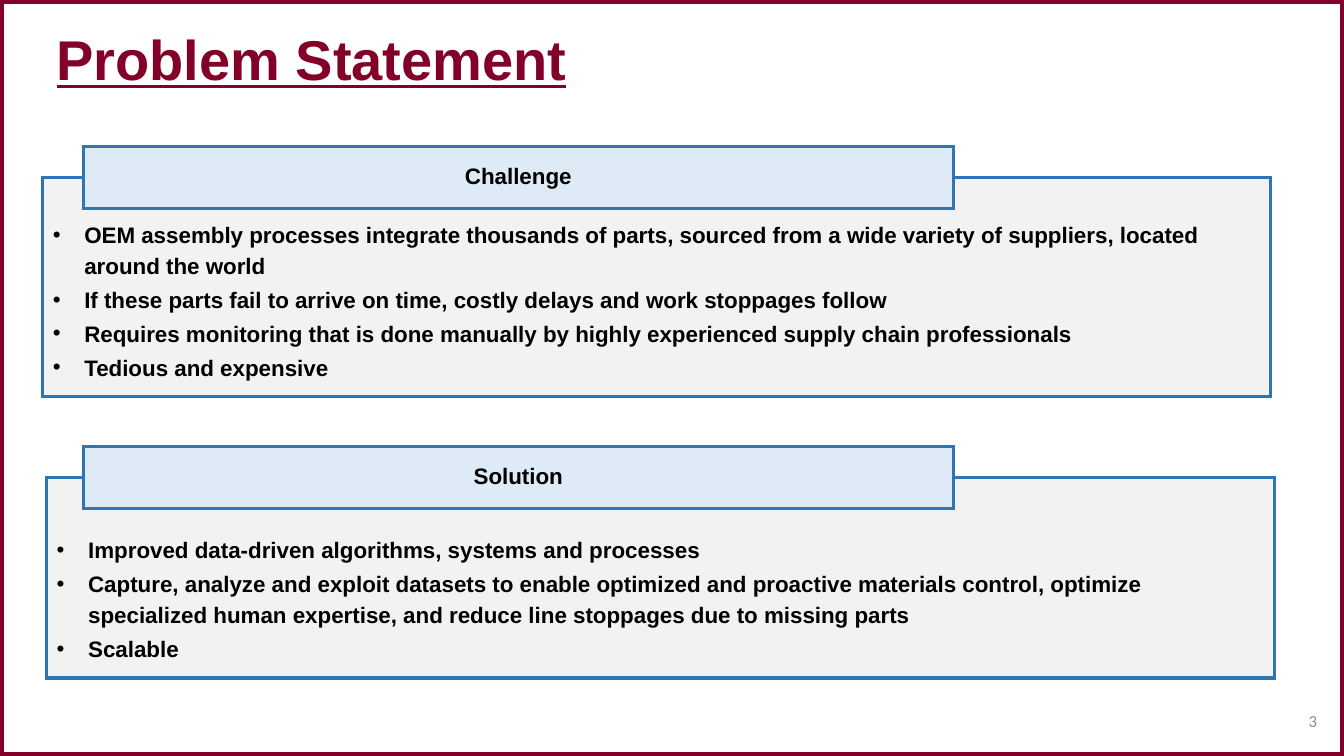
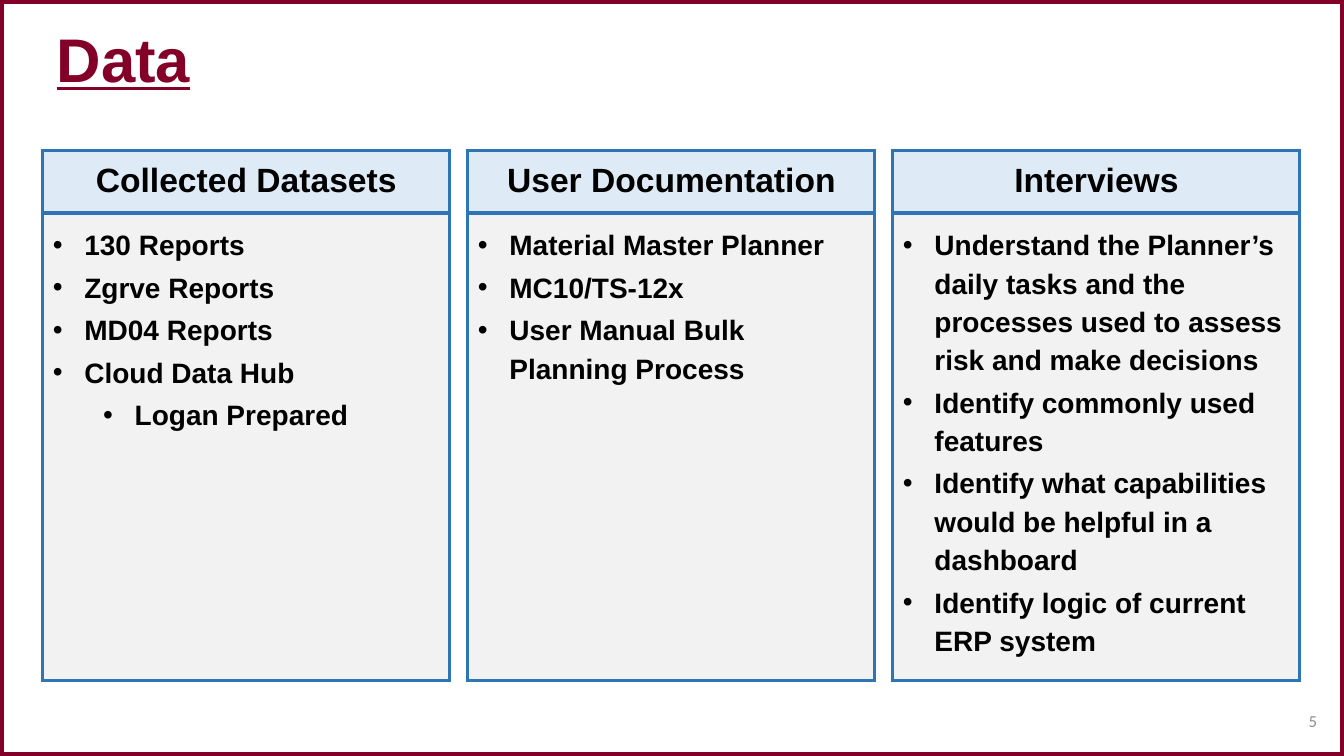
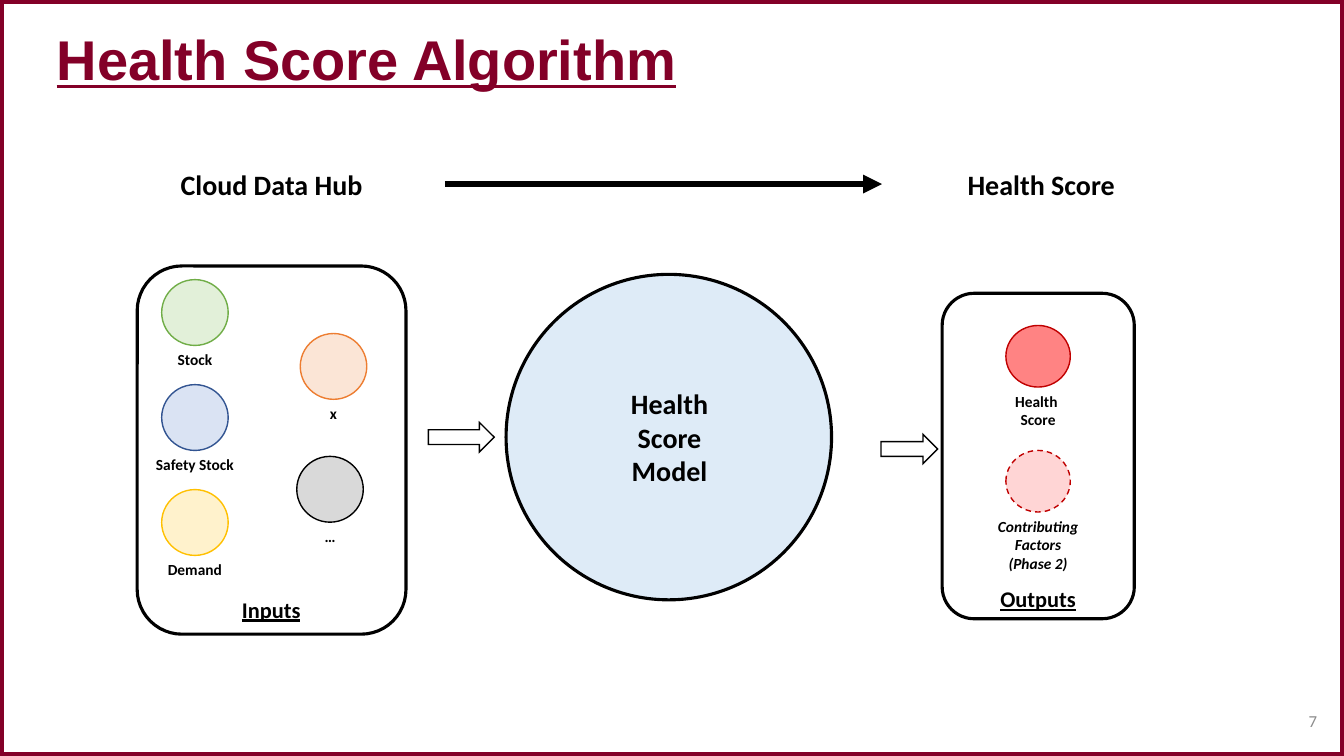
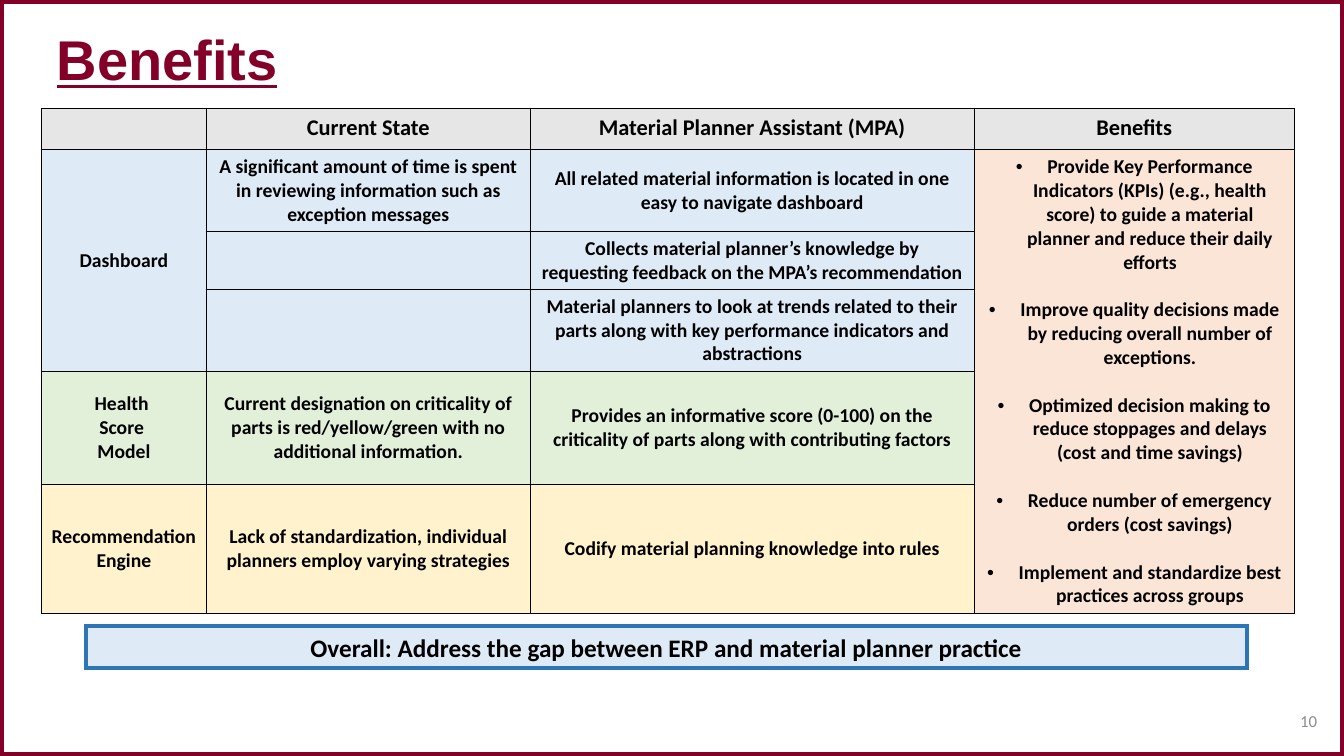
"""Build four slides on a material planning project."""
from dataclasses import dataclass, replace
from typing import Any, NamedTuple

from lxml import etree
from pptx import Presentation
from pptx.dml.color import RGBColor
from pptx.enum.dml import MSO_LINE
from pptx.enum.shapes import MSO_CONNECTOR, MSO_SHAPE
from pptx.enum.text import MSO_ANCHOR, MSO_AUTO_SIZE, PP_ALIGN
from pptx.oxml.ns import qn
from pptx.util import Pt

LEFT, CENTER, RIGHT = PP_ALIGN.LEFT, PP_ALIGN.CENTER, PP_ALIGN.RIGHT
TOP, MIDDLE, BOTTOM = MSO_ANCHOR.TOP, MSO_ANCHOR.MIDDLE, MSO_ANCHOR.BOTTOM
NO_FIT = MSO_AUTO_SIZE.NONE
RECTANGLE, ROUNDED = MSO_SHAPE.RECTANGLE, MSO_SHAPE.ROUNDED_RECTANGLE
OVAL, CONNECTOR_NODE = MSO_SHAPE.OVAL, MSO_SHAPE.FLOWCHART_CONNECTOR
BLOCK_ARROW, STRAIGHT = MSO_SHAPE.RIGHT_ARROW, MSO_CONNECTOR.STRAIGHT
DASH = MSO_LINE.DASH

MAROON, BLACK, GRAY = "830028", "000000", "8C8C8C"
BLUE, PALE_BLUE, PALE_GRAY = "2E75B6", "DEEBF7", "F2F2F2"
PALE_GREEN, PALE_YELLOW, PALE_ORANGE = "E2F0D9", "FFF2CC", "FBE5D6"
HEADER_GRAY, RED, PALE_RED, DARK_RED = "E7E6E6", "FF0909", "FFD5D5", "C00000"
PAGE_WIDTH, PAGE_HEIGHT = 960, 540
INDENT = 22.5
TITLE_ONLY, COMPARISON = 5, 4


class Area(NamedTuple):
    """Position and size in points."""
    left: float
    top: float
    width: float
    height: float


@dataclass(frozen=True)
class Style:
    """Look of a text."""
    size: float
    font: str = "Calibri"
    color: str = BLACK
    bold: bool = True
    italic: bool = False
    underline: bool = False
    align: Any = CENTER
    anchor: Any = TOP
    spacing: float = 1.0
    before: float = 0
    after: float = 0
    bullet: bool = False
    insets: tuple[float, float, float, float] = (7.2, 3.6, 7.2, 3.6)


@dataclass(frozen=True)
class Paint:
    """Fill and outline of a shape."""
    fill: str = ""
    line: str = BLACK
    weight: float = 1
    opacity: int = 100
    dash: Any = None


@dataclass(frozen=True)
class Panel:
    """Headed list with its two areas."""
    heading: str
    items: str
    heading_area: Area
    list_area: Area


@dataclass(frozen=True)
class Node:
    """Captioned circle of the diagram."""
    caption: str
    area: Area
    paint: Paint
    italic: bool = False


@dataclass(frozen=True)
class Band:
    """Table row with its height and fill."""
    height: float
    fill: str
    texts: tuple[str, ...]


TITLE = Style(40, "Arial", MAROON, underline=True, align=LEFT, anchor=MIDDLE, spacing=0.9)
HEADING = Style(16, "Arial", anchor=MIDDLE, spacing=0.9, insets=(10, 6, 10, 6))
NUMBER = Style(12, color=GRAY, bold=False, align=RIGHT, anchor=MIDDLE)
LABEL, CAPTION = Style(20), Style(11)
GROUP_NAME = Style(16, underline=True)
CELL = Style(14, anchor=MIDDLE)
CELL_HEADER = Style(16)
CELL_LIST = replace(CELL, bullet=True, before=17)
SUMMARY = Style(18, anchor=MIDDLE)
PANEL_PAINT = Paint(PALE_GRAY, BLUE, 2.25)
HEADING_PAINT = Paint(PALE_BLUE, BLUE, 2.25)
OUTLINE = Paint(weight=2.25)


def list_style(size: float, anchor: Any) -> Style:
    """Return the style of a bulleted panel."""
    return Style(size, "Arial", align=LEFT, anchor=anchor, spacing=1.14,
                 after=0.15 * size, bullet=True, insets=(7.2, 7.2, 10, 11.5))


def rgb(color: str) -> RGBColor:
    """Turn a hex string into a colour."""
    return RGBColor.from_string(color)


def set_values(target: Any, values: dict[str, Any]) -> None:
    """Set attributes from a dict."""
    for name, value in values.items():
        setattr(target, name, value)


def place(shape: Any, area: Area) -> None:
    """Move and size a shape."""
    set_values(shape, {name: Pt(value) for name, value in area._asdict().items()})


def paint_shape(shape: Any, paint: Paint) -> None:
    """Apply fill and sharp-cornered outline without a shadow."""
    shape.shadow.inherit = False
    if paint.fill:
        shape.fill.solid()
        shape.fill.fore_color.rgb = rgb(paint.fill)
    else:
        shape.fill.background()
    properties = shape.element.spPr
    if paint.opacity < 100:
        color = properties.find(qn("a:solidFill")).find(qn("a:srgbClr"))
        etree.SubElement(color, qn("a:alpha"), val=str(paint.opacity * 1000))
    shape.line.color.rgb = rgb(paint.line)
    set_values(shape.line, {"width": Pt(paint.weight), "dash_style": paint.dash})
    etree.SubElement(properties.find(qn("a:ln")), qn("a:miter"), lim="800000")


def add_bullet(para: Any, level: int) -> None:
    """Give a paragraph a hanging bullet."""
    properties = para._p.get_or_add_pPr()
    properties.set("marL", str(Pt(INDENT + 36 * level)))
    properties.set("indent", str(Pt(-INDENT)))
    etree.SubElement(properties, qn("a:buFont"), typeface="Arial")
    etree.SubElement(properties, qn("a:buChar"), char="•")


def write(frame: Any, text: str, style: Style) -> None:
    """Write one paragraph per line, a leading tab deepening the level."""
    for index, line in enumerate(text.split("\n")):
        para = frame.add_paragraph() if index else frame.paragraphs[0]
        level = line.count("\t")
        set_values(para, {
            "alignment": style.align, "level": level, "line_spacing": style.spacing,
            "space_before": Pt(style.before if index else 0), "space_after": Pt(style.after),
        })
        if style.bullet:
            add_bullet(para, level)
        span = para.add_run()
        span.text = line.strip("\t")
        set_values(span.font, {
            "name": style.font, "size": Pt(style.size), "bold": style.bold,
            "italic": style.italic, "underline": style.underline,
        })
        span.font.color.rgb = rgb(style.color)


def fill_frame(shape: Any, text: str, style: Style) -> None:
    """Set up the text frame of a shape and write in it."""
    sides = ("margin_left", "margin_top", "margin_right", "margin_bottom")
    set_values(shape.text_frame, {
        "word_wrap": True, "auto_size": NO_FIT, "vertical_anchor": style.anchor,
        **{side: Pt(inset) for side, inset in zip(sides, style.insets)},
    })
    write(shape.text_frame, text, style)


def add_text(page: Any, area: Area, text: str, style: Style) -> None:
    """Add a text box."""
    fill_frame(page.shapes.add_textbox(*map(Pt, area)), text, style)


def add_box(page: Any, kind: Any, area: Area, paint: Paint) -> Any:
    """Add a painted preset shape."""
    box = page.shapes.add_shape(kind, *map(Pt, area))
    paint_shape(box, paint)
    return box


def add_page(deck: Any, layout: int, title: str, number: int, size: float = 40) -> Any:
    """Add a slide with its title and number."""
    page = deck.slides.add_slide(deck.slide_layouts[layout])
    place(page.shapes.title, Area(33.25, 11, 895, 67))
    fill_frame(page.shapes.title, title, replace(TITLE, size=size))
    add_text(page, Area(655, 500.5, 293, 28.5), str(number), NUMBER)
    return page


def add_border(deck: Any, page: Any) -> None:
    """Put the page border on the slide master."""
    border = add_box(page, RECTANGLE, Area(0, 0, PAGE_WIDTH, PAGE_HEIGHT),
                     Paint(line=MAROON, weight=6))
    border.element.nvSpPr.cNvPr.set("id", "20")
    deck.slide_master.shapes.element.append(border.element)


def add_panels(page: Any, panels: list[Panel], heading: Style, items: Style) -> None:
    """Fill body placeholders with headed lists and drop unused ones."""
    bodies = [body for body in page.placeholders if body.placeholder_format.idx]
    for body, panel in zip(bodies, panels):
        place(body, panel.list_area)
        paint_shape(body, PANEL_PAINT)
        fill_frame(body, panel.items, items)
        box = add_box(page, RECTANGLE, panel.heading_area, HEADING_PAINT)
        fill_frame(box, panel.heading, heading)
    for body in bodies[len(panels):]:
        body.element.getparent().remove(body.element)


def add_node(page: Any, node: Node) -> None:
    """Add a circle with its caption below."""
    add_box(page, OVAL, node.area, node.paint)
    width, lines = 79, node.caption.count("\n") + 1
    left = node.area.left + (node.area.width - width) / 2
    caption_area = Area(left, node.area.top + node.area.height, width, 7.2 + 13.5 * lines)
    add_text(page, caption_area, node.caption, replace(CAPTION, italic=node.italic))


def add_flow_arrow(page: Any, left: float, right: float, top: float) -> None:
    """Add a heavy horizontal arrow."""
    arrow = page.shapes.add_connector(STRAIGHT, Pt(left), Pt(top), Pt(right), Pt(top))
    arrow.line.color.rgb = rgb(BLACK)
    arrow.line.width = Pt(4.5)
    properties = arrow.element.spPr
    etree.SubElement(properties.find(qn("a:ln")), qn("a:tailEnd"), type="triangle")
    etree.SubElement(properties, qn("a:effectLst"))


def format_cell(cell: Any, fill: str) -> None:
    """Give a cell black borders and a fill."""
    properties = cell._tc.get_or_add_tcPr()
    for side in ("lnL", "lnR", "lnT", "lnB"):
        line = etree.SubElement(properties, qn(f"a:{side}"), w=str(Pt(1)))
        solid = etree.SubElement(line, qn("a:solidFill"))
        etree.SubElement(solid, qn("a:srgbClr"), val=BLACK)
    cell.fill.solid()
    cell.fill.fore_color.rgb = rgb(fill)


def build_problem(deck: Any) -> None:
    """Build the problem statement."""
    page = add_page(deck, COMPARISON, "Problem Statement", 3)
    add_border(deck, page)
    challenge = (
        "OEM assembly processes integrate thousands of parts, sourced from a wide variety of "
        "suppliers, located around the world\n"
        "If these parts fail to arrive on time, costly delays and work stoppages follow\n"
        "Requires monitoring that is done manually by highly experienced supply chain "
        "professionals\n"
        "Tedious and expensive")
    solution = (
        "Improved data-driven algorithms, systems and processes\n"
        "Capture, analyze and exploit datasets to enable optimized and proactive materials "
        "control, optimize specialized human expertise, and reduce line stoppages due to "
        "missing parts\n"
        "Scalable")
    panels = [
        Panel("Challenge", challenge, Area(59.5, 104.5, 621.5, 44.5),
              Area(30.5, 127, 877, 156.5)),
        Panel("Solution", solution, Area(59.5, 319, 621.5, 44.5),
              Area(33.25, 341.25, 877, 143)),
    ]
    add_panels(page, panels, HEADING, list_style(16, BOTTOM))


def build_data(deck: Any) -> None:
    """Build the three data columns."""
    page = add_page(deck, COMPARISON, "Data", 5, 44)
    columns = {
        "Collected Datasets":
            "130 Reports\nZgrve Reports\nMD04 Reports\nCloud Data Hub\n\tLogan Prepared",
        "User Documentation":
            "Material Master Planner\nMC10/TS-12x\nUser Manual Bulk Planning Process",
        "Interviews":
            "Understand the Planner’s daily tasks and the processes used to assess risk and "
            "make decisions\nIdentify commonly used features\n"
            "Identify what capabilities would be helpful in a dashboard\n"
            "Identify logic of current ERP system",
    }
    panels = []
    for index, (heading, items) in enumerate(columns.items()):
        left = 30.5 + 303.65 * index
        panels.append(Panel(heading, items, Area(left, 107.5, 290.75, 44.5),
                            Area(left, 152.15, 290.75, 334)))
    add_panels(page, panels, replace(HEADING, size=24), list_style(20, TOP))


def build_algorithm(deck: Any) -> None:
    """Build the health score diagram."""
    page = add_page(deck, TITLE_ONLY, "Health Score Algorithm", 7)
    shapes = [
        (CONNECTOR_NODE, Area(361.5, 196, 232.5, 232.5), Paint(PALE_BLUE, weight=2.25)),
        (ROUNDED, Area(98, 190, 192, 263), OUTLINE),
        (ROUNDED, Area(673, 209.5, 137.25, 232.5), OUTLINE),
        (BLOCK_ARROW, Area(306, 301.75, 47, 21), Paint()),
        (BLOCK_ARROW, Area(629.25, 310.25, 40.5, 21), Paint()),
    ]
    for kind, area, paint in shapes:
        add_box(page, kind, area, paint)
    add_flow_arrow(page, 317.75, 630, 131.5)
    texts = [
        ("Cloud Data Hub", Area(120.5, 116, 147, 31.5), LABEL),
        ("Health Score", Area(680.5, 116, 126.5, 31.5), LABEL),
        ("Health Score Model", Area(424, 272.5, 108.5, 80), LABEL),
        ("Inputs", Area(146.25, 422, 95, 27), GROUP_NAME),
        ("Outputs", Area(694, 414.5, 95, 27), GROUP_NAME),
    ]
    for text, area, style in texts:
        add_text(page, area, text, style)
    inputs = [
        ("Stock", 115.5, 199.75, PALE_GREEN, "70AD47"),
        ("Safety Stock", 115.5, 274.75, "DAE3F3", "325491"),
        ("Demand", 115.5, 349.75, PALE_YELLOW, "FFC000"),
        ("x", 214.5, 238.25, PALE_ORANGE, "ED7D31"),
        ("…", 212, 326, "D9D9D9", BLACK),
    ]
    nodes = [Node(caption, Area(left, top, 47.5, 47), Paint(fill, line))
             for caption, left, top, fill, line in inputs]
    nodes += [
        Node("Health \nScore", Area(718.5, 232.5, 46, 44), Paint(RED, DARK_RED, opacity=50)),
        Node("Contributing\nFactors\n(Phase 2)", Area(718.5, 321.75, 46, 44),
             Paint(PALE_RED, DARK_RED, dash=DASH), italic=True),
    ]
    for node in nodes:
        add_node(page, node)


def build_benefits(deck: Any) -> None:
    """Build the benefits table."""
    page = add_page(deck, TITLE_ONLY, "Benefits", 10)
    benefits = (
        "Provide Key Performance Indicators (KPIs) (e.g., health score) to guide a material "
        "planner and reduce their daily efforts\n"
        "Improve quality decisions made by reducing overall number of exceptions.\n"
        "Optimized decision making to reduce stoppages and delays (cost and time savings)\n"
        "Reduce number of emergency orders (cost savings)\n"
        "Implement and standardize best practices across groups")
    bands = [
        Band(29.25, HEADER_GRAY,
             ("", "Current State", "Material Planner Assistant (MPA)", "Benefits")),
        Band(58.5, PALE_BLUE, (
            "Dashboard",
            "A significant amount of time is spent in reviewing information such as "
            "exception messages",
            "All related material information is located in one easy to navigate dashboard",
            benefits)),
        Band(41.25, PALE_BLUE, (
            "", "", "Collects material planner’s knowledge by requesting feedback on the "
            "MPA’s recommendation", "")),
        Band(58, PALE_BLUE, (
            "", "", "Material planners to look at trends related to their parts along with "
            "key performance indicators and abstractions", "")),
        Band(81.25, PALE_GREEN, (
            "Health \nScore \nModel",
            "Current designation on criticality of parts is red/yellow/green with no "
            "additional information.",
            "Provides an informative score (0-100) on the criticality of parts along with "
            "contributing factors", "")),
        Band(91.75, PALE_YELLOW, (
            "Recommendation\nEngine",
            "Lack of standardization, individual planners employ varying strategies",
            "Codify material planning knowledge into rules", "")),
    ]
    widths = (118, 231.25, 317.25, 228.5)
    area = Area(29.5, 77.75, sum(widths), sum(band.height for band in bands))
    table = page.shapes.add_table(len(bands), len(widths), *map(Pt, area)).table
    set_values(table, {"first_row": False, "horz_banding": False})
    for column, width in zip(table.columns, widths):
        column.width = Pt(width)
    last = len(widths) - 1
    for row, band in enumerate(bands):
        table.rows[row].height = Pt(band.height)
        for column, text in enumerate(band.texts):
            cell = table.cell(row, column)
            in_benefits = row > 0 and column == last
            format_cell(cell, PALE_ORANGE if in_benefits else band.fill)
            cell.vertical_anchor = MIDDLE if row else TOP
            if text:
                style = CELL_LIST if in_benefits else CELL
                write(cell.text_frame, text, style if row else CELL_HEADER)
    table.cell(1, 0).merge(table.cell(3, 0))
    table.cell(1, last).merge(table.cell(len(bands) - 1, last))
    summary = add_box(page, RECTANGLE, Area(61.5, 447, 829, 30.25), Paint(PALE_BLUE, BLUE, 3))
    fill_frame(summary, "Overall: Address the gap between ERP and material planner practice",
               SUMMARY)


def main() -> None:
    """Build and save the deck."""
    deck = Presentation()
    set_values(deck, {"slide_width": Pt(PAGE_WIDTH), "slide_height": Pt(PAGE_HEIGHT)})
    for build in (build_problem, build_data, build_algorithm, build_benefits):
        build(deck)
    deck.save("out.pptx")


if __name__ == "__main__":
    main()
